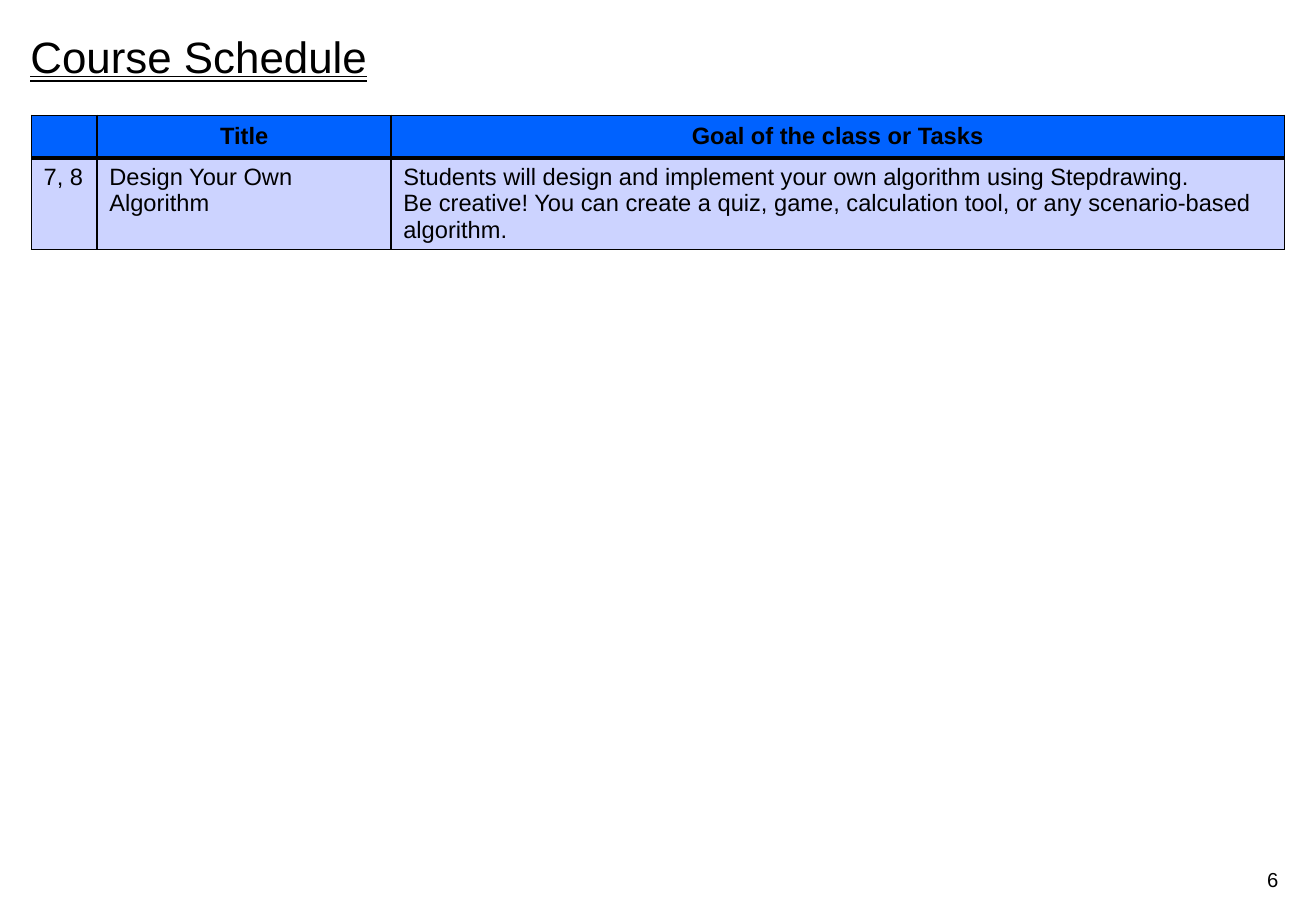
import pptx
import pptx.util
import pptx.dml.color
import pptx.enum.text
import pptx.oxml.ns
import lxml.etree

TITLE = "Course Schedule"
PAGE = "6"
ROWS = [
    ["", "Title", "Goal of the class or Tasks"],
    ["7, 8", "Design Your Own Algorithm",
     "Students will design and implement your own algorithm using Stepdrawing.\n"
     "Be creative! You can create a quiz, game, calculation tool, "
     "or any scenario-based algorithm."],
]
COLS = [0.54, 2.42, 7.35]
HIGH = [0.35, 0.75]
FILLS = ["0062FF", "CCD3FF"]
INK = "000000"
THIN, THICK = 1, 3

Inches = pptx.util.Inches
Pt = pptx.util.Pt
Align = pptx.enum.text.PP_ALIGN
Anchor = pptx.enum.text.MSO_ANCHOR


def color(code):
    return pptx.dml.color.RGBColor.from_string(code)


def style(frame, size, align, **extra):
    """Format every paragraph, empty ones included."""
    for para in frame.paragraphs:
        para.alignment = align
        look = {"name": "Arial", "size": Pt(size), **extra}
        for font in [para.font] + [run.font for run in para.runs]:
            for key, value in look.items():
                setattr(font, key, value)
            font.color.rgb = color(INK)


def place(shape, *box):
    for key, value in zip(("left", "top", "width", "height"), box):
        setattr(shape, key, Inches(value))


def bare(frame, anchor):
    """Drop the margins and hold the text at the anchor."""
    look = {"margin_left": 0, "margin_top": 0, "margin_right": 0,
            "margin_bottom": 0, "word_wrap": True, "vertical_anchor": anchor,
            "auto_size": pptx.enum.text.MSO_AUTO_SIZE.NONE}
    for key, value in look.items():
        setattr(frame, key, value)


def border(cell, widths):
    props = cell._tc.get_or_add_tcPr()
    qn = pptx.oxml.ns.qn
    for spot, (side, width) in enumerate(widths.items()):
        line = lxml.etree.Element(qn("a:ln" + side), w=str(Pt(width)))
        solid = lxml.etree.SubElement(line, qn("a:solidFill"))
        lxml.etree.SubElement(solid, qn("a:srgbClr"), val=INK)
        props.insert(spot, line)


def main():
    deck = pptx.Presentation()
    deck.slide_width, deck.slide_height = Inches(10.83), Inches(7.5)
    slide = deck.slides.add_slide(deck.slide_layouts[5])

    title = slide.shapes.title
    place(title, 0.25, 0.29, 4.91, 0.66)
    title.text_frame.text = TITLE
    bare(title.text_frame, Anchor.TOP)
    style(title.text_frame, 26, Align.LEFT,
          underline=pptx.enum.text.MSO_UNDERLINE.DOUBLE_LINE)
    title.text_frame.paragraphs[0].line_spacing = 0.9

    size = [Inches(n) for n in (0.26, 0.95, sum(COLS), sum(HIGH))]
    table = slide.shapes.add_table(len(ROWS), len(COLS), *size).table
    for col, width in zip(table.columns, COLS):
        col.width = Inches(width)
    for r, texts in enumerate(ROWS):
        head = r == 0
        table.rows[r].height = Inches(HIGH[r])
        edges = {"L": THIN, "R": THIN, "T": THIN if head else THICK,
                 "B": THICK if head else THIN}
        for c, text in enumerate(texts):
            cell = table.cell(r, c)
            cell.text = text
            cell.vertical_anchor = Anchor.MIDDLE if head else Anchor.TOP
            cell.fill.solid()
            cell.fill.fore_color.rgb = color(FILLS[r])
            style(cell.text_frame, 14, Align.CENTER if head else Align.LEFT,
                  bold=head)
            border(cell, edges)

    page = slide.shapes.add_textbox(0, 0, 0, 0)
    place(page, 7.85, 7.12, 2.67, 0.24)
    page.text_frame.text = PAGE
    bare(page.text_frame, Anchor.MIDDLE)
    style(page.text_frame, 12, Align.RIGHT)

    deck.save("out.pptx")


if __name__ == "__main__":
    main()
